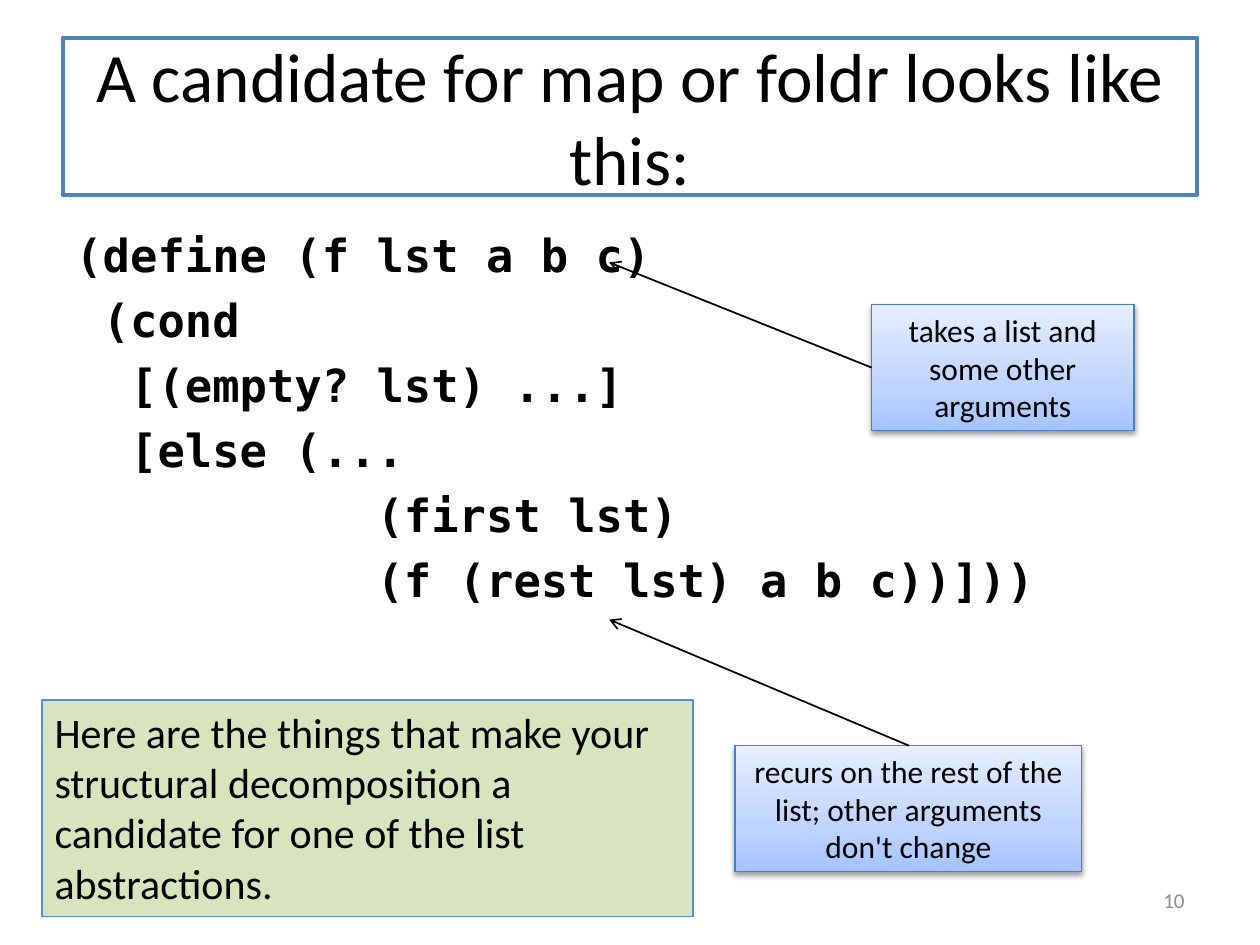
"""Build the slide on recognising a candidate for map or foldr."""
import copy
from dataclasses import dataclass
from typing import Optional

import pptx
import pptx.dml.color
import pptx.enum.shapes
import pptx.enum.text
import pptx.oxml
import pptx.oxml.ns
import pptx.util
from pptx.dml.color import RGBColor
from pptx.enum.text import MSO_ANCHOR, PP_ALIGN
from pptx.util import Cm, Pt

BLACK = RGBColor(0x00, 0x00, 0x00)
WHITE = RGBColor(0xFF, 0xFF, 0xFF)
GREY = RGBColor(0x8C, 0x8C, 0x8C)
GREEN = RGBColor(0xD7, 0xE4, 0xBD)
TITLE_BORDER = RGBColor(0x4F, 0x81, 0xBD)
NOTE_BORDER = RGBColor(0x55, 0x8E, 0xD5)
CALLOUT_BORDER = RGBColor(0x4B, 0x7E, 0xBC)
CALLOUT_STOPS = (
    (0, RGBColor(0xA4, 0xC4, 0xFF)),
    (0.35, RGBColor(0xBF, 0xD4, 0xFF)),
    (1, RGBColor(0xE6, 0xEE, 0xFF)),
)
CODE = """(define (f lst a b c)
 (cond
  [(empty? lst) ...]
  [else (...
           (first lst)
           (f (rest lst) a b c))]))"""
SHADOW = (
    f'<a:outerShdw {pptx.oxml.ns.nsdecls("a")} blurRad="40000" dist="20000" '
    'dir="5400000" rotWithShape="0"><a:srgbClr val="000000">'
    '<a:alpha val="38000"/></a:srgbClr></a:outerShdw>'
)


@dataclass
class Box:
    """Text with its place in centimetres and its style."""

    text: str
    left: float
    top: float
    width: float
    height: float
    size: float
    fill: Optional[RGBColor] = None
    border: Optional[RGBColor] = None
    border_width: float = 0.75
    align: PP_ALIGN = PP_ALIGN.CENTER
    anchor: MSO_ANCHOR = MSO_ANCHOR.MIDDLE
    font: str = "Calibri"
    bold: bool = False
    color: RGBColor = BLACK


@dataclass
class Arrow:
    """An arrow from start to tip, in centimetres."""

    start: tuple[float, float]
    tip: tuple[float, float]


TITLE = Box("A candidate for map or foldr looks like this:", 1.27, 0.76, 22.86, 3.18,
            39.6, WHITE, TITLE_BORDER, 2.25)
CODE_BOX = Box(CODE, 1.27, 4.45, 22.86, 12.57, 26, align=PP_ALIGN.LEFT,
               anchor=MSO_ANCHOR.TOP, font="DejaVu Sans Mono", bold=True)
PAGE_NUMBER = Box("10", 18.2, 17.65, 5.93, 1.01, 12, align=PP_ALIGN.RIGHT, color=GREY)
CALLOUTS = (
    Box("takes a list and some other arguments", 17.57, 6.14, 5.29, 2.54, 18,
        border=CALLOUT_BORDER),
    Box("recurs on the rest of the list; other arguments don't change",
        14.82, 15.03, 6.99, 2.54, 18, border=CALLOUT_BORDER),
)
NOTE = Box("Here are the things that make your structural decomposition a candidate "
           "for one of the list abstractions.", 0.85, 14.11, 13.12, 4.37, 24,
           GREEN, NOTE_BORDER, 1, PP_ALIGN.LEFT, MSO_ANCHOR.TOP)
ARROWS = (
    Arrow((18.32, 15.03), (12.28, 12.49)),
    Arrow((17.57, 7.41), (12.28, 5.29)),
)


def write_text(shape, box: Box) -> None:
    """Put the text of a box in a shape and format it."""
    frame = shape.text_frame
    frame.word_wrap = True
    frame.vertical_anchor = box.anchor
    frame.text = box.text
    for paragraph in frame.paragraphs:
        paragraph.alignment = box.align
        for run in paragraph.runs:
            run.font.name = box.font
            run.font.size = Pt(box.size)
            run.font.bold = box.bold
            run.font.color.rgb = box.color


def add_box(slide, box: Box):
    """Draw a bordered rectangle, or a plain text box if there is no border."""
    place = [Cm(length) for length in (box.left, box.top, box.width, box.height)]
    if box.border is None:
        shape = slide.shapes.add_textbox(*place)
    else:
        shape = slide.shapes.add_shape(pptx.enum.shapes.MSO_SHAPE.RECTANGLE, *place)
        shape.shadow.inherit = False
        shape.line.color.rgb = box.border
        shape.line.width = Pt(box.border_width)
    if box.fill is not None:
        shape.fill.solid()
        shape.fill.fore_color.rgb = box.fill
    write_text(shape, box)
    return shape


def add_code(slide, box: Box) -> None:
    """Draw the code with hanging indents and spaced lines."""
    paragraphs = add_box(slide, box).text_frame.paragraphs
    for index, paragraph in enumerate(paragraphs):
        properties = paragraph._p.get_or_add_pPr()
        properties.set("marL", str(Cm(0.95)))
        properties.set("indent", str(-Cm(0.95)))
        paragraph.space_before = Pt(6 if index else 0)


def add_callout(slide, box: Box) -> None:
    """Draw a callout with a gradient and a soft shadow."""
    shape = add_box(slide, box)
    shape.fill.gradient()
    shape.fill.gradient_angle = 90
    stop_list = shape._element.spPr.find(".//" + pptx.oxml.ns.qn("a:gsLst"))
    stop_list.append(copy.deepcopy(stop_list[0]))
    for stop, (position, color) in zip(shape.fill.gradient_stops, CALLOUT_STOPS):
        stop.position = position
        stop.color.rgb = color
    effects = shape._element.spPr.find(pptx.oxml.ns.qn("a:effectLst"))
    effects.append(pptx.oxml.parse_xml(SHADOW))


def add_arrow(slide, arrow: Arrow) -> None:
    """Draw a thin black arrow with an open head."""
    ends = [Cm(length) for length in (*arrow.start, *arrow.tip)]
    connector = slide.shapes.add_connector(
        pptx.enum.shapes.MSO_CONNECTOR.STRAIGHT, *ends)
    connector.line.color.rgb = BLACK
    connector.line.width = Pt(1)
    head = pptx.oxml.parse_xml(
        f'<a:tailEnd {pptx.oxml.ns.nsdecls("a")} type="arrow"/>')
    connector.line._get_or_add_ln().append(head)
    effects = pptx.oxml.parse_xml(f'<a:effectLst {pptx.oxml.ns.nsdecls("a")}/>')
    connector._element.spPr.append(effects)


def main() -> None:
    """Build and save the presentation."""
    presentation = pptx.Presentation()
    presentation.slide_width = Cm(25.4)
    presentation.slide_height = Cm(19.05)
    slide = presentation.slides.add_slide(presentation.slide_layouts[6])
    add_box(slide, TITLE)
    add_code(slide, CODE_BOX)
    add_box(slide, PAGE_NUMBER)
    for callout in CALLOUTS:
        add_callout(slide, callout)
    add_box(slide, NOTE)
    for arrow in ARROWS:
        add_arrow(slide, arrow)
    presentation.save("out.pptx")


if __name__ == "__main__":
    main()
